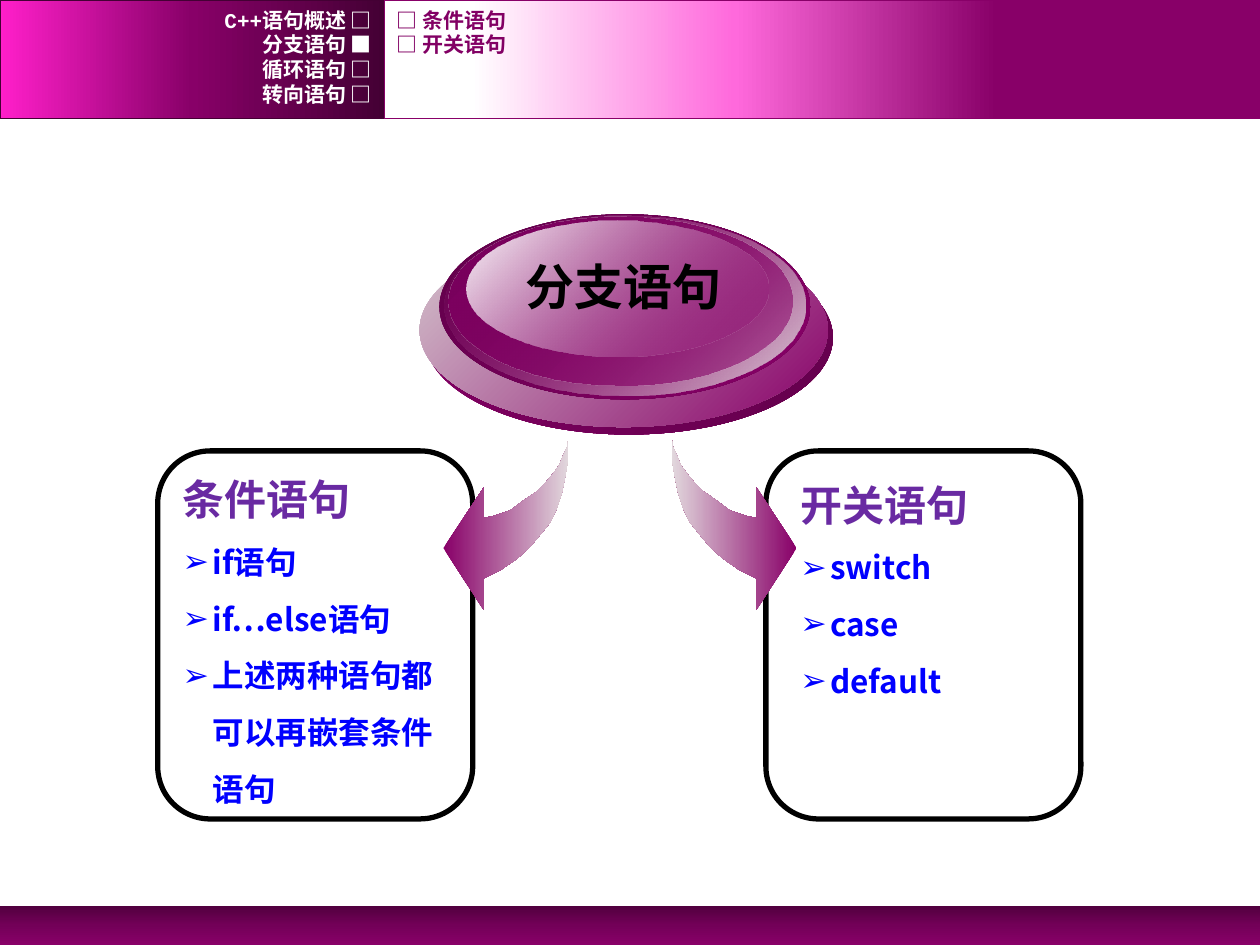
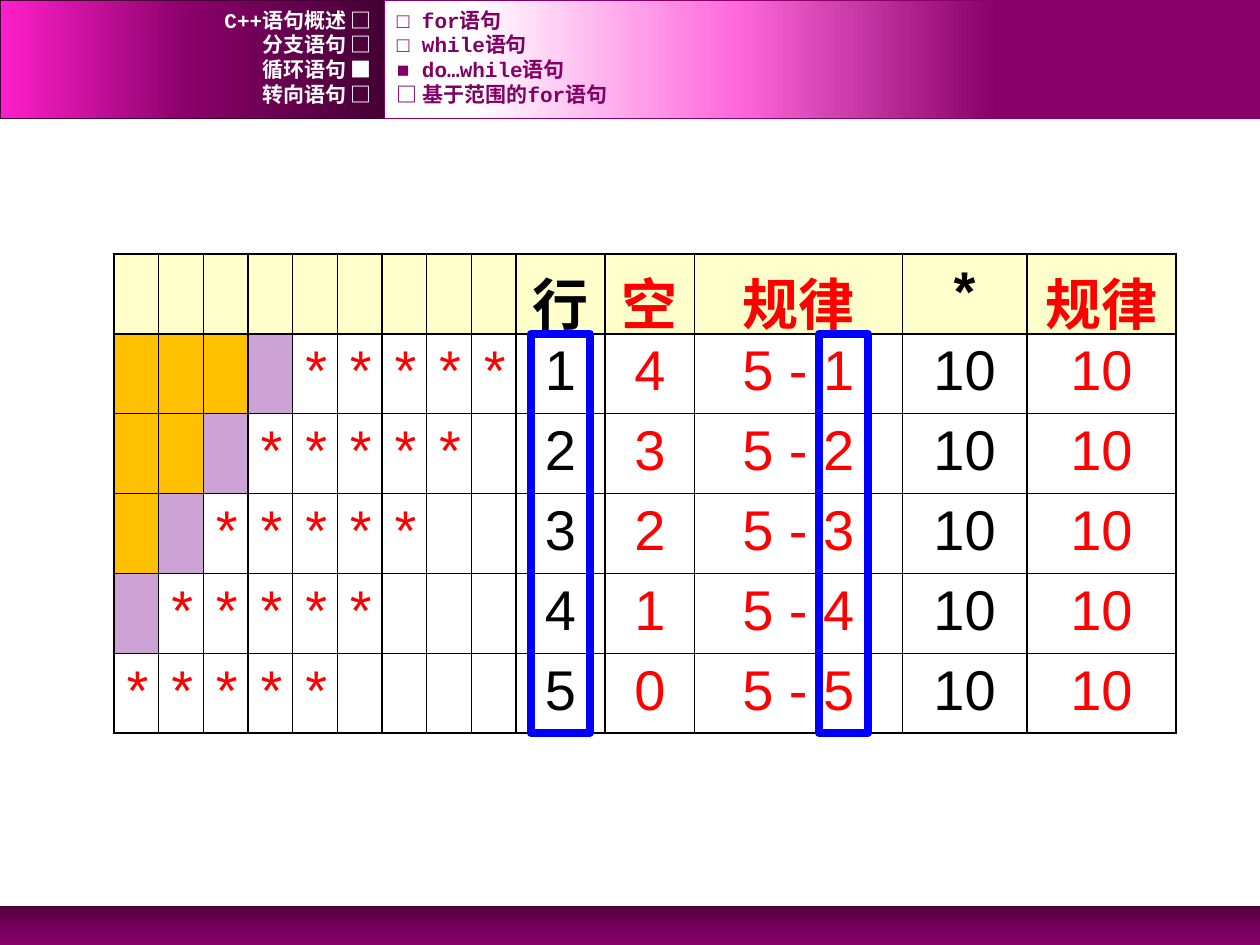
from lxml import etree
from pptx import Presentation
from pptx.dml.color import RGBColor
from pptx.enum.shapes import MSO_SHAPE
from pptx.enum.text import MSO_ANCHOR, MSO_AUTO_SIZE, PP_ALIGN
from pptx.oxml import parse_xml
from pptx.oxml.ns import nsdecls, qn
from pptx.util import Cm, Pt

RECT, ROUND, OVAL = MSO_SHAPE.RECTANGLE, MSO_SHAPE.ROUNDED_RECTANGLE, MSO_SHAPE.OVAL
LEFT, CENTER, RIGHT = PP_ALIGN.LEFT, PP_ALIGN.CENTER, PP_ALIGN.RIGHT
TOP, MIDDLE = MSO_ANCHOR.TOP, MSO_ANCHOR.MIDDLE
GROW = MSO_AUTO_SIZE.SHAPE_TO_FIT_TEXT

TWO_LISTS, BLANK = 3, 6
CJK, MONO, SANS = "Noto Sans CJK SC", "Courier New", "Arial"
BLACK, WHITE, RED, BLUE = "000000", "FFFFFF", "FF0000", "0000FF"
PLUM, MENU, HEADING = "880068", "820064", "692AA2"
CREAM, ORANGE, LILAC = "FFFFCC", "FFC000", "CDA3D6"

CHAPTERS = ["C++语句概述", "分支语句", "循环语句", "转向语句"]
BANDS = [
    ((0, 18.26, 25.4, 0.79), [(0, "51003E"), (50, "730058"), (100, PLUM)], 90, None),
    ((0, 0, 7.75, 2.39), [(0, "440034"), (50, PLUM), (100, "FF1FCA")], 180, "440034"),
    ((7.75, 0, 17.65, 2.39), [(30, PLUM), (60, "FF69DC"), (90, WHITE)], 180, PLUM),
]
BUTTON_RINGS = [
    ((8.56, 4.85, 8.23, 3.91), [(0, PLUM), (100, "63004C")]),
    ((8.46, 4.7, 8.23, 3.91), [(0, "D5C6CE"), (100, PLUM)]),
    ((8.86, 4.32, 7.47, 3.73), [(0, "61004A"), (100, PLUM)]),
    ((8.97, 4.34, 7.26, 3.63), [(0, PLUM, 0), (100, "DFD4DA")]),
    ((9.04, 4.37, 6.93, 3.4), [(0, "7B005E"), (100, PLUM, 48)]),
    ((9.4, 4.45, 6.1, 2.74), [(0, WHITE), (100, PLUM, 38)]),
]
ARROW = [
    (1146, 884), (1146, 922), (1140, 958), (1133, 993), (1123, 1024), (1110, 1052),
    (1090, 1077), (1069, 1102), (1044, 1125), (1011, 1148), (975, 1166), (975, 1229),
    (894, 1105), (975, 983), (975, 1044), (993, 1041), (1008, 1036), (1029, 1029),
    (1046, 1016), (1064, 1003), (1082, 991), (1100, 973), (1115, 955), (1128, 937),
    (1135, 919), (1143, 902),
]
ARROW_MIRROR = 2500
ARROW_SHADE = [(0, PLUM), (100, "E2D8DD")]


def color(value):
    return RGBColor.from_string(value)


def place(shape, box):
    shape.left, shape.top, shape.width, shape.height = map(Cm, box)


class Deck:
    def __init__(self):
        self.prs = Presentation()
        self.prs.slide_width, self.prs.slide_height = Cm(25.4), Cm(19.05)
        self.slide = None

    def new_slide(self, layout):
        self.slide = self.prs.slides.add_slide(self.prs.slide_layouts[layout])

    def master_bands(self):
        tree = self.prs.slide_master.shapes.element
        for number, (box, stops, angle, edge) in enumerate(BANDS):
            band = self.shape(RECT, box, edge, 1)
            self.shade(band, stops, angle)
            band.element.nvSpPr.cNvPr.set("id", str(100 + number))
            tree.insert(2 + number, band.element)

    def shade(self, shape, stops, angle):
        shape.fill.gradient()
        stop_xml = ""
        for position, value, *alpha in stops:
            opacity = f'<a:alpha val="{alpha[0] * 1000}"/>' if alpha else ""
            stop_xml += (f'<a:gs pos="{position * 1000}"><a:srgbClr val="{value}">'
                         f'{opacity}</a:srgbClr></a:gs>')
        gradient = parse_xml(
            f'<a:gradFill {nsdecls("a")} rotWithShape="1"><a:gsLst>{stop_xml}</a:gsLst>'
            f'<a:lin ang="{angle * 60000}" scaled="0"/></a:gradFill>')
        properties = shape.element.spPr
        properties.replace(properties.find(qn("a:gradFill")), gradient)

    def outline(self, shape, edge, width):
        shape.shadow.inherit = False
        shape.fill.background()
        if edge:
            shape.line.color.rgb = color(edge)
            shape.line.width = Pt(width)
        else:
            shape.line.fill.background()

    def shape(self, kind, box, edge=None, width=1):
        shape = self.slide.shapes.add_shape(kind, *map(Cm, box))
        self.outline(shape, edge, width)
        return shape

    def outline_path(self, points, stops, angle):
        builder = self.slide.shapes.build_freeform(*points[0], scale=Cm(0.01))
        builder.add_line_segments(points[1:], close=True)
        shape = builder.convert_to_shape()
        self.outline(shape, None, 0)
        self.shade(shape, stops, angle)

    def format(self, paragraph, size, font, ink, bold=True, align=LEFT):
        paragraph.alignment = align
        for run in paragraph.runs:
            run.font.size, run.font.bold, run.font.name = Pt(size), bold, font
            run.font.color.rgb = color(ink)
            east_asian = etree.Element(qn("a:ea"), typeface=CJK)
            run.font.element.find(qn("a:latin")).addnext(east_asian) if hasattr(
                run.font, "element") else run.font._element.find(
                qn("a:latin")).addnext(east_asian)

    def menu(self, entries, active, left, width, ink, align):
        for row, entry in enumerate(entries):
            mark = "■" if row == active else "□"
            box = self.slide.shapes.add_textbox(
                Cm(left), Cm(0.15 + 0.5 * row), Cm(width), Cm(0.5))
            frame = box.text_frame
            frame.word_wrap, frame.vertical_anchor = True, MIDDLE
            frame.text = f"{entry} {mark}" if align == RIGHT else f"{mark} {entry}"
            self.format(frame.paragraphs[0], 12, MONO, ink, align=align)

    def header(self, chapter, sections, section=None):
        self.menu(CHAPTERS, chapter, 0, 7.75, WHITE, RIGHT)
        self.menu(sections, section, 7.75, 15.29, MENU, LEFT)

    def title(self, text, box):
        title = self.slide.shapes.title
        place(title, box)
        frame = title.text_frame
        frame.text = text
        frame.word_wrap, frame.vertical_anchor, frame.auto_size = False, TOP, GROW
        self.format(frame.paragraphs[0], 28, CJK, BLACK, align=CENTER)
        self.slide.shapes.element.append(title.element)

    def topic(self, index, heading, items, box):
        body = self.slide.placeholders[index]
        place(body, box)
        frame = body.text_frame
        frame.text = "\n".join([heading, *items])
        frame.word_wrap, frame.auto_size = True, GROW
        for row, paragraph in enumerate(frame.paragraphs):
            self.format(paragraph, 18 if row else 24, CJK, BLUE if row else HEADING)
            paragraph.space_before = Pt(0)
            paragraph.line_spacing = 1.5 if row else 1.0
            indent = Cm(0.6) if row else 0
            properties = paragraph._p.get_or_add_pPr()
            properties.set("marL", str(indent))
            properties.set("indent", str(-indent))
            if row:
                etree.SubElement(properties, qn("a:buChar"), char="➢")
            else:
                etree.SubElement(properties, qn("a:buNone"))

    def table(self, box, widths, row_height, rows):
        frame = self.slide.shapes.add_table(len(rows), len(widths), *map(Cm, box))
        grid = frame.table
        grid.first_row = grid.horz_banding = False
        for column, width in zip(grid.columns, widths):
            column.width = Cm(width)
        for r, row in enumerate(rows):
            grid.rows[r].height = Cm(row_height)
            for c, (text, ink, fill) in enumerate(row):
                self.cell(grid.cell(r, c), text, ink, fill, bold=r == 0)
        frame.height = Cm(box[3])

    def cell(self, cell, text, ink, fill, bold):
        properties = cell._tc.get_or_add_tcPr()
        for side in ("lnL", "lnR", "lnT", "lnB"):
            properties.append(parse_xml(
                f'<a:{side} {nsdecls("a")} w="12700"><a:solidFill>'
                f'<a:srgbClr val="{BLACK}"/></a:solidFill></a:{side}>'))
        if fill:
            cell.fill.solid()
            cell.fill.fore_color.rgb = color(fill)
        else:
            cell.fill.background()
        if text:
            cell.text = text
            self.format(cell.text_frame.paragraphs[0], 32, SANS, ink, bold, CENTER)


def branch_slide(deck):
    deck.new_slide(TWO_LISTS)
    deck.master_bands()
    for card_left in (15.44, 3.18):
        deck.shape(ROUND, (card_left, 9.09, 6.35, 7.42), BLACK, 3)
    deck.topic(1, "条件语句", ["if语句", "if…else语句", "上述两种语句都可以再嵌套条件语句"],
               (3.43, 9.42, 5.66, 7.06))
    deck.topic(2, "开关语句", ["switch", "case", "default"], (15.88, 9.53, 5.72, 4.75))
    deck.outline_path(ARROW, ARROW_SHADE, 0)
    deck.outline_path([(ARROW_MIRROR - x, y) for x, y in ARROW], ARROW_SHADE, 180)
    for box, stops in BUTTON_RINGS:
        deck.shade(deck.shape(OVAL, box), stops, 45)
    deck.title("分支语句", (10.31, 5.05, 4.52, 1.45))
    deck.header(1, ["条件语句", "开关语句"])


def pattern_row(line):
    cells = []
    for column in range(9):
        gap = 4 - line - column + 1
        if gap > 1:
            cells.append(("", RED, ORANGE))
        elif gap == 1:
            cells.append(("", RED, LILAC))
        else:
            cells.append(("*" if gap > -5 else "", RED, None))
    rules = [(str(line), BLACK), (str(5 - line), RED), (f"5 - {line}", RED),
             ("10", BLACK), ("10", RED)]
    return cells + [(text, ink, None) for text, ink in rules]


def loop_slide(deck):
    deck.new_slide(BLANK)
    headings = [("", BLACK)] * 9 + [
        ("行", BLACK), ("空", RED), ("规律", RED), ("*", BLACK), ("规律", RED)]
    rows = [[(text, ink, CREAM) for text, ink in headings]]
    rows += [pattern_row(line) for line in range(1, 6)]
    widths = [0.9] * 9 + [1.8, 1.8, 4.19, 2.51, 3.01]
    deck.table((2.3, 5.12, 21.41, 9.65), widths, 1.04, rows)
    for left, width in ((10.7, 1.19), (16.51, 0.99)):
        deck.shape(RECT, (left, 6.73, width, 8.05), BLUE, 4.5)
    deck.header(2, ["for语句", "while语句", "do…while语句", "基于范围的for语句"], 2)


def main():
    deck = Deck()
    branch_slide(deck)
    loop_slide(deck)
    deck.prs.save("out.pptx")


if __name__ == "__main__":
    main()
